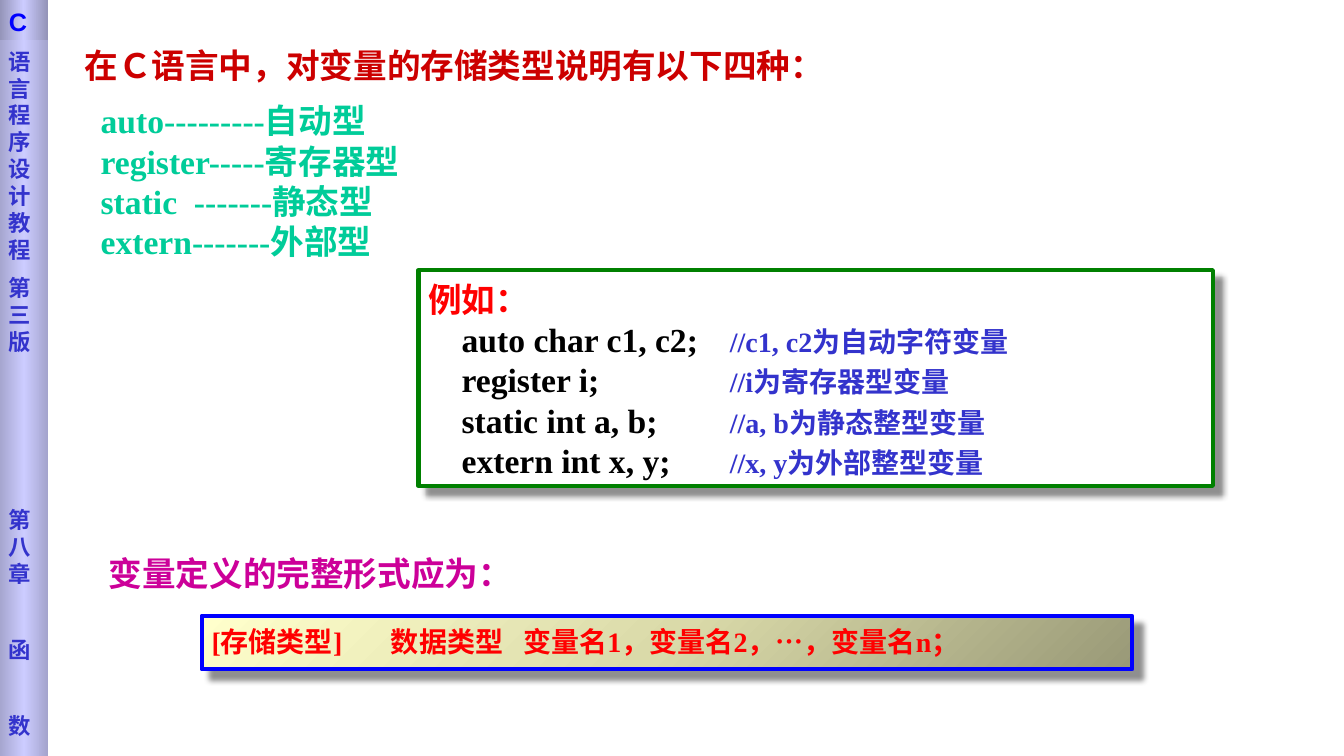
from pptx import Presentation
from pptx.dml.color import RGBColor
from pptx.enum.shapes import MSO_SHAPE
from pptx.enum.text import MSO_ANCHOR, PP_ALIGN
from pptx.oxml import parse_xml
from pptx.oxml.ns import nsdecls, qn
from pptx.util import Inches, Pt

# Grid: ten columns and ten rows to the inch
CELL = Inches(0.1)
COLUMNS, ROWS = 133.3, 75
LINE_SPACING = 1.2
HAN_FONT = "Noto Sans CJK SC"
SERIF = "Times New Roman"
RED, CODE, COMMENT = "FF0000", "000000", "3333CC"


def cells(count):
    return round(count * CELL)


def color(hex_code):
    return RGBColor.from_string(hex_code)


def area(left, top, width, height):
    return [cells(n) for n in (left, top, width, height)]


def add_panel(slide, place, fill=None, border=None):
    panel = slide.shapes.add_shape(MSO_SHAPE.RECTANGLE, *area(*place))
    panel.shadow.inherit = False
    if fill:
        panel.fill.solid()
        panel.fill.fore_color.rgb = color(fill)
    if border:
        panel.line.color.rgb = color(border)
        panel.line.width = Pt(3)
    else:
        panel.line.fill.background()
    return panel


def set_gradient(panel, edge, middle, end, angle):
    panel.fill.gradient()
    old = panel.element.spPr.find(qn("a:gradFill"))
    stops = "".join(
        f'<a:gs pos="{position * 1000}"><a:srgbClr val="{tone}"/></a:gs>'
        for position, tone in ((0, edge), (50, middle), (100, end)))
    new = parse_xml(
        f'<a:gradFill {nsdecls("a")} rotWithShape="1"><a:gsLst>{stops}</a:gsLst>'
        f'<a:lin ang="{angle * 60000}" scaled="0"/></a:gradFill>')
    old.getparent().replace(old, new)


def add_shadow(panel):
    panel.element.spPr.find(qn("a:effectLst")).append(parse_xml(
        f'<a:outerShdw {nsdecls("a")} blurRad="{Pt(4)}" dist="{Pt(8.4)}" '
        'dir="2700000" algn="tl" rotWithShape="0"><a:srgbClr val="000000">'
        '<a:alpha val="43000"/></a:srgbClr></a:outerShdw>'))


def set_tabs(paragraph, tabs):
    stops = "".join(f'<a:tab pos="{cells(stop)}" algn="l"/>' for stop in tabs)
    paragraph._p.get_or_add_pPr().append(
        parse_xml(f'<a:tabLst {nsdecls("a")}>{stops}</a:tabLst>'))


def add_run(paragraph, text, size, tone, font):
    run = paragraph.add_run()
    run.text = text
    run.font.size = Pt(size)
    run.font.bold = True
    run.font.name = font
    run.font.color.rgb = color(tone)
    run.font._element.find(qn("a:latin")).addnext(
        parse_xml(f'<a:ea {nsdecls("a")} typeface="{HAN_FONT}"/>'))


def write(holder, lines, font=SERIF, top=0.85, tabs=(), gaps=()):
    """Each line is a list of (text, size, color) runs."""
    frame = holder.text_frame
    frame.word_wrap = True
    frame.vertical_anchor = MSO_ANCHOR.TOP
    frame.margin_left = frame.margin_right = cells(1)
    frame.margin_top, frame.margin_bottom = cells(top), 0
    for index, runs in enumerate(lines):
        paragraph = frame.paragraphs[0] if index == 0 else frame.add_paragraph()
        paragraph.alignment = PP_ALIGN.LEFT
        paragraph.line_spacing = Pt(LINE_SPACING * max(run[1] for run in runs))
        if gaps:
            paragraph.space_before = Pt(gaps[index])
        if tabs:
            set_tabs(paragraph, tabs)
        for text, size, tone in runs:
            add_run(paragraph, text, size, tone, font)


def add_text(slide, place, lines, **layout):
    write(slide.shapes.add_textbox(*area(*place)), lines, **layout)


def add_sidebar(slide):
    spine = add_panel(slide, (-0.1, 0, 4.9, ROWS))
    set_gradient(spine, "A4A4CD", "CCCCFF", "A4A4CD", 0)
    titles = ["语言程序设计教程", "第三版", "第八章", "函", "数"]
    write(spine, [[(title, 16, COMMENT)] for title in titles],
          font="DejaVu Sans", top=4.75, gaps=(0, 8, 108.5, 35, 35))
    cap = add_panel(slide, (-0.1, 0, 4.9, 4))
    set_gradient(cap, "9292B6", "CCCCFF", "9292B6", 0)
    write(cap, [[("C", 18, "0000FF")]], font="Arial", top=0.6)


def main():
    deck = Presentation()
    deck.slide_width, deck.slide_height = cells(COLUMNS), cells(ROWS)
    slide = deck.slides.add_slide(deck.slide_layouts[6])

    # Storage classes
    add_text(slide, (7.4, 3.6, 79.4, 5),
             [[("在Ｃ语言中，对变量的存储类型说明有以下四种：", 24, "CC0000")]])
    storage_classes = ["auto---------自动型", "register-----寄存器型",
                       "static\t-------静态型", "extern-------外部型"]
    add_text(slide, (9, 9.1, 78.8, 17.2),
             [[(entry, 24, "00CC99")] for entry in storage_classes], tabs=[9.25])

    # Complete form of a definition
    definition = add_panel(slide, (20, 61.1, 92.3, 5.3), border="0000FF")
    set_gradient(definition, "999977", "DADAA9", "FFFFCC", 225)
    add_shadow(definition)
    write(definition,
          [[("[存储类型]\t数据类型\t变量名1，变量名2，…，变量名n；", 20, RED)]],
          tabs=[17.8, 30.9])
    add_text(slide, (9.8, 54, 42.5, 5),
             [[("变量定义的完整形式应为：", 24, "CC0099")]])

    # Examples with their comments
    examples = add_panel(slide, (41.5, 26.8, 78.8, 21.4), "FFFFFF", "008000")
    add_shadow(examples)
    declarations = [("auto char c1, c2;", "//c1, c2为自动字符变量"),
                    ("register i;", "//i为寄存器型变量"),
                    ("static int a, b;", "//a, b为静态整型变量"),
                    ("extern int x, y;", "//x, y为外部整型变量")]
    write(examples,
          [[("例如：", 24, RED)]]
          + [[(f"\t{code}\t", 24, CODE), (note, 20, COMMENT)]
             for code, note in declarations],
          tabs=[3.3, 29.9])

    add_sidebar(slide)
    deck.save("out.pptx")


if __name__ == "__main__":
    main()
